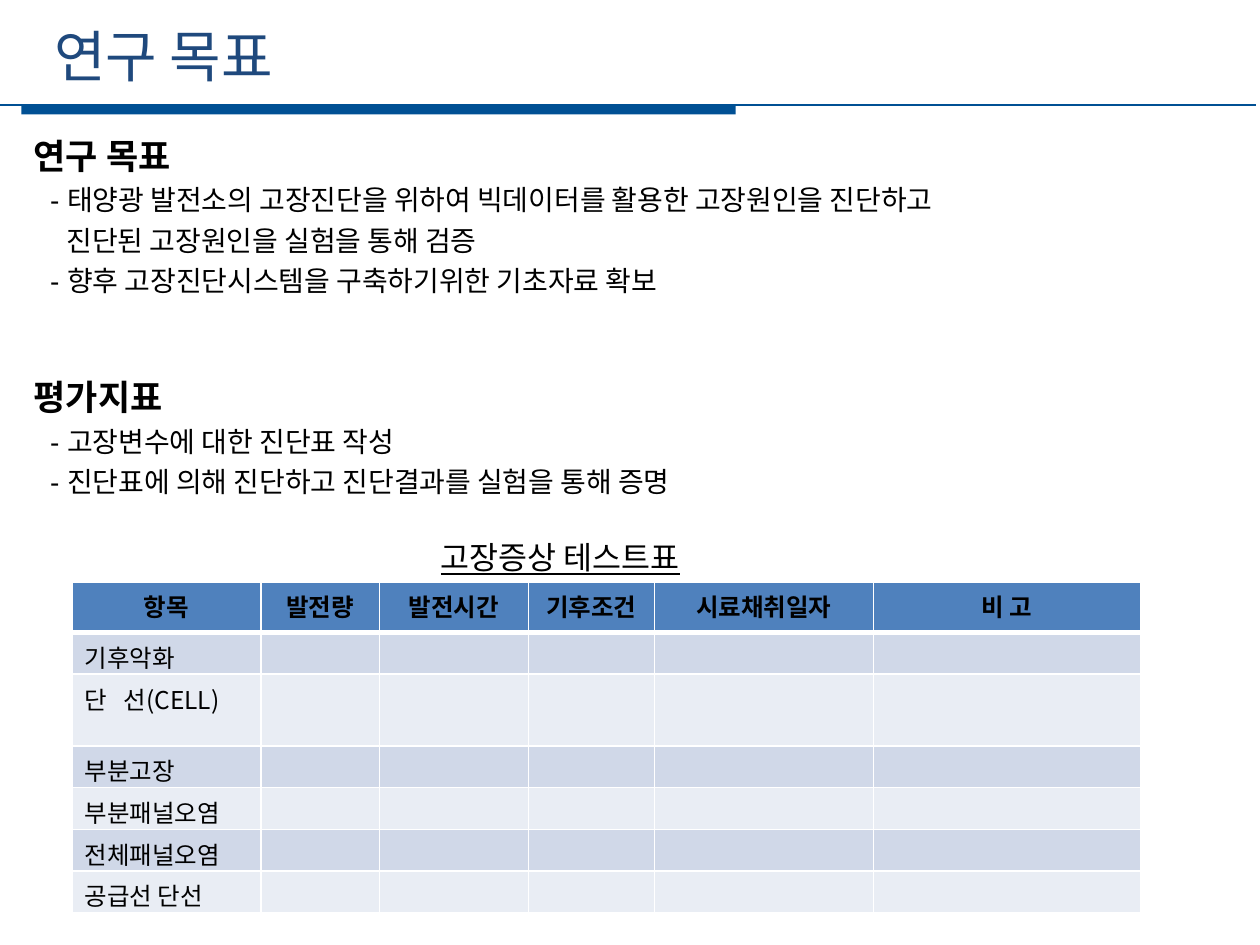
from lxml import etree
from pptx import Presentation
from pptx.dml.color import RGBColor
from pptx.enum.shapes import MSO_CONNECTOR, MSO_SHAPE
from pptx.enum.text import PP_ALIGN
from pptx.oxml.ns import qn
from pptx.util import Cm, Pt

RECTANGLE = MSO_SHAPE.RECTANGLE
STRAIGHT = MSO_CONNECTOR.STRAIGHT
LEFT, CENTER = PP_ALIGN.LEFT, PP_ALIGN.CENTER

BLACK = RGBColor(0x00, 0x00, 0x00)
WHITE = RGBColor(0xFF, 0xFF, 0xFF)
NAVY = RGBColor(0x1F, 0x49, 0x7D)
RULE_BLUE = RGBColor(0x00, 0x50, 0x94)
HEADER_BLUE = RGBColor(0x4F, 0x81, 0xBD)
BANDS = (RGBColor(0xD0, 0xD8, 0xE8), RGBColor(0xE9, 0xED, 0xF4))

KOREAN_FONT = "Noto Sans CJK KR"
BODY_FONT = "Arial"

HEADINGS = ("항목", "발전량", "발전시간", "기후조건", "시료채취일자", "비 고")
SYMPTOMS = ("기후악화", "단   선(CELL)", "부분고장", "부분패널오염", "전체패널오염", "공급선 단선")
COLUMN_WIDTHS = (3.81, 2.39, 3, 2.54, 4.42, 5.38)
ROW_HEIGHTS = (1.02, 0.84, 1.45, 0.84, 0.84, 0.84, 0.84)

DASH_INDENT, CONTINUED_INDENT = 0.33, 0.66
# Text, size, bold, indent in cm, space before in points
BODY = (
    ("연구 목표", 20, True, 0, 0),
    ("- 태양광 발전소의 고장진단을 위하여 빅데이터를 활용한 고장원인을 진단하고", 16, False, DASH_INDENT, 0),
    ("진단된 고장원인을 실험을 통해 검증", 16, False, CONTINUED_INDENT, 0),
    ("- 향후 고장진단시스템을 구축하기위한 기초자료 확보", 16, False, DASH_INDENT, 0),
    ("평가지표", 20, True, 0, 46),
    ("- 고장변수에 대한 진단표 작성", 16, False, DASH_INDENT, 0),
    ("- 진단표에 의해 진단하고 진단결과를 실험을 통해 증명", 16, False, DASH_INDENT, 0),
)


class SlideBuilder:
    """Holds the current slide and its text style."""

    def __init__(self, slide):
        """Start with a blank slide."""
        self.slide = slide

    def style(self, paragraph, size, font=KOREAN_FONT, color=BLACK, bold=False):
        """Set the font of a whole paragraph."""
        paragraph.font.name = font
        paragraph.font.size = Pt(size)
        paragraph.font.bold = bold
        paragraph.font.color.rgb = color

    def bar(self, left, top, width, height):
        """Draw a filled bar without outline."""
        shape = self.slide.shapes.add_shape(RECTANGLE, Cm(left), Cm(top), Cm(width), Cm(height))
        shape.shadow.inherit = False
        shape.fill.solid()
        shape.fill.fore_color.rgb = RULE_BLUE
        shape.line.fill.background()

    def rule(self, left, right, top):
        """Draw a thin horizontal line."""
        line = self.slide.shapes.add_connector(STRAIGHT, Cm(left), Cm(top), Cm(right), Cm(top))
        line.line.color.rgb = RULE_BLUE
        line.line.width = Pt(1.25)
        etree.SubElement(line._element.spPr, qn("a:effectLst"))

    def text_frame(self, left, top, width, height, wrap=True):
        """Add a text box and return its text frame."""
        box = self.slide.shapes.add_textbox(Cm(left), Cm(top), Cm(width), Cm(height))
        box.text_frame.word_wrap = wrap
        return box.text_frame

    def label(self, text, position, size, color=BLACK, underline=None, wrap=True):
        """Add a text box of one line."""
        paragraph = self.text_frame(*position, wrap=wrap).paragraphs[0]
        paragraph.text = text
        self.style(paragraph, size, color=color)
        paragraph.font.underline = underline

    def body(self, lines, position):
        """Add headings and indented lines in one text box."""
        frame = self.text_frame(*position)
        for index, (text, size, bold, indent, before) in enumerate(lines):
            paragraph = frame.add_paragraph() if index else frame.paragraphs[0]
            paragraph.text = text
            paragraph.line_spacing = Pt(23)
            paragraph.space_before = Pt(before)
            self.style(paragraph, size, BODY_FONT, bold=bold)
            paragraph._p.get_or_add_pPr().set("marL", str(Cm(indent)))

    def borders(self, cell, top, bottom):
        """Give a cell white borders, 1 pt at the sides."""
        properties = cell._tc.get_or_add_tcPr()
        for index, (side, width) in enumerate(zip("LRTB", (1, 1, top, bottom))):
            line = etree.Element(qn(f"a:ln{side}"), w=str(Pt(width)))
            fill = etree.SubElement(line, qn("a:solidFill"))
            etree.SubElement(fill, qn("a:srgbClr"), val=str(WHITE))
            properties.insert(index, line)

    def cell(self, cell, text, header, fill):
        """Fill one table cell."""
        cell.fill.solid()
        cell.fill.fore_color.rgb = fill
        if not header:
            cell.margin_bottom = 0
        paragraph = cell.text_frame.paragraphs[0]
        paragraph.alignment = CENTER if header else LEFT
        if text:
            paragraph.text = text
        self.style(paragraph, 14, bold=header)
        if not text:
            etree.SubElement(paragraph._p, qn("a:endParaRPr"), sz="1400")

    def table(self, rows, left, top):
        """Add a table with a header and banded rows."""
        table = self.slide.shapes.add_table(
            len(rows), len(COLUMN_WIDTHS), Cm(left), Cm(top),
            Cm(sum(COLUMN_WIDTHS)), Cm(sum(ROW_HEIGHTS))).table
        for column, width in zip(table.columns, COLUMN_WIDTHS):
            column.width = Cm(width)
        for index, (row, height, texts) in enumerate(zip(table.rows, ROW_HEIGHTS, rows)):
            row.height = Cm(height)
            header = index == 0
            fill = HEADER_BLUE if header else BANDS[(index - 1) % 2]
            for cell, text in zip(row.cells, texts):
                self.cell(cell, text, header, fill)
                self.borders(cell, 3 if index == 1 else 1, 3 if header else 1)


def main():
    """Build and save the slide."""
    presentation = Presentation()
    presentation.slide_width, presentation.slide_height = Cm(25.4), Cm(19.05)
    builder = SlideBuilder(presentation.slides.add_slide(presentation.slide_layouts[6]))

    builder.bar(0.43, 2.11, 14.4, 0.2)
    builder.rule(-0.08, 25.32, 2.11)
    builder.label("연구 목표", (0.84, 0.3, 22.76, 1.63), 32, NAVY)
    builder.body(BODY, (0.43, 2.62, 24.18, 7.62))
    blanks = ("",) * (len(HEADINGS) - 1)
    builder.table([HEADINGS] + [(symptom, *blanks) for symptom in SYMPTOMS], 1.45, 11.73)
    builder.label("고장증상 테스트표", (8.64, 10.72, 5.87, 1.02), 18, underline=True, wrap=False)
    presentation.save("out.pptx")


main()
